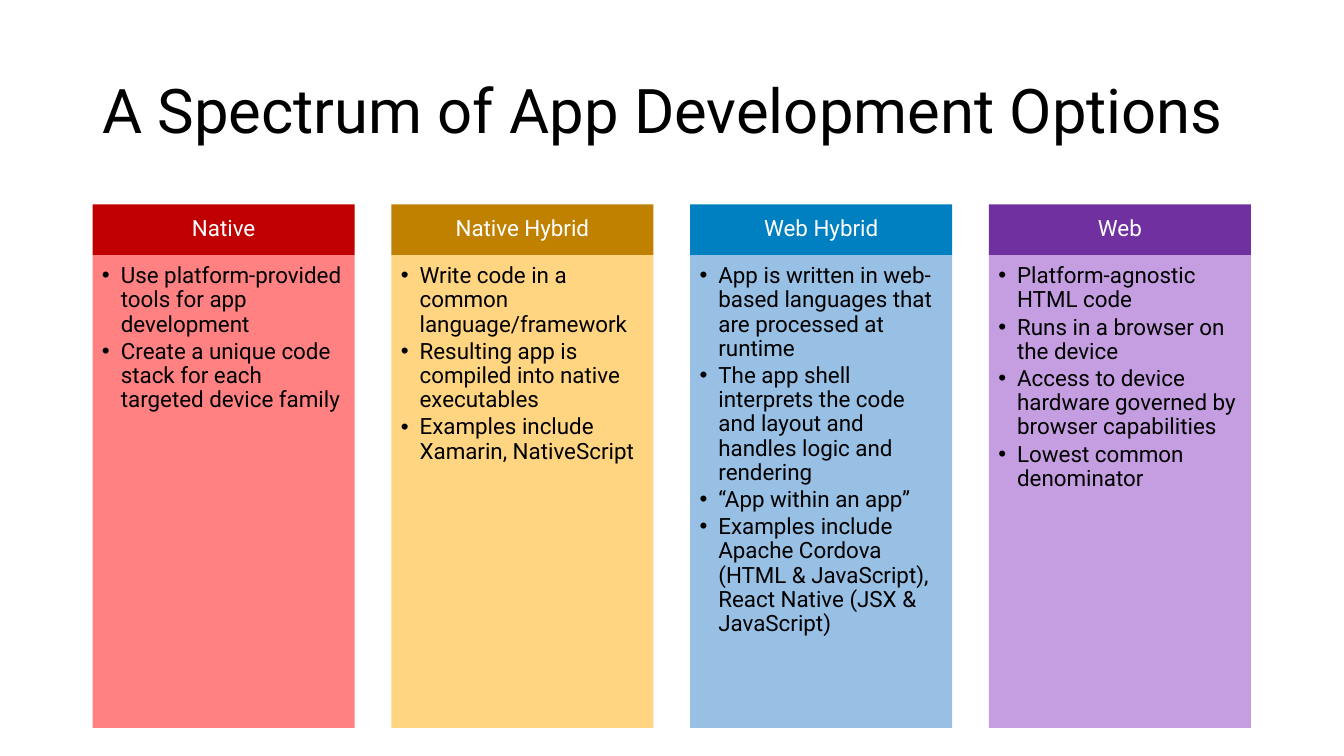
"""Build a slide comparing four app development options in coloured columns."""
from lxml import etree
from pptx import Presentation
from pptx.dml.color import RGBColor
from pptx.enum.shapes import MSO_SHAPE
from pptx.enum.text import MSO_ANCHOR, PP_ALIGN
from pptx.oxml.ns import qn
from pptx.util import Pt

RECTANGLE = MSO_SHAPE.RECTANGLE
TOP, MIDDLE = MSO_ANCHOR.TOP, MSO_ANCHOR.MIDDLE
LEFT, CENTER = PP_ALIGN.LEFT, PP_ALIGN.CENTER

COLORS = {
    "black": "000000", "white": "FFFFFF",
    "red": "C00000", "light red": "FF8181",
    "gold": "C08000", "light gold": "FFD581",
    "blue": "0080C0", "light blue": "8CBAE2",
    "purple": "7030A0", "light purple": "C59EE2",
}

COLUMNS = [
    ("Native", "red", 100, [
        "Use platform-provided tools for app development",
        "Create a unique code stack for each targeted device family",
    ]),
    ("Native Hybrid", "gold", 100, [
        "Write code in a common language/framework",
        "Resulting app is compiled into native executables",
        "Examples include Xamarin, NativeScript",
    ]),
    ("Web Hybrid", "blue", 90, [
        "App is written in web-based languages that are processed at runtime",
        "The app shell interprets the code and layout and handles logic and rendering",
        "“App within an app”",
        "Examples include Apache Cordova (HTML & JavaScript), React Native (JSX & JavaScript)",
    ]),
    ("Web", "purple", 100, [
        "Platform-agnostic HTML code",
        "Runs in a browser on the device",
        "Access to device hardware governed by browser capabilities",
        "Lowest common denominator",
    ]),
]

COLUMN_LEFT, COLUMN_PITCH, COLUMN_WIDTH = 66.2, 213.4, 187.2
HEADER_TOP, HEADER_HEIGHT, BODY_HEIGHT = 146, 36.2, 337.7


class SlideBuilder:
    """Hold the text style and the slide, and add elements to it."""

    font = "Roboto"
    line_spacing = 0.9
    bullet_indent = 13.5
    bullet_gap = 2.2

    def __init__(self, slide):
        self.slide = slide

    def color(self, name):
        return RGBColor.from_string(COLORS[name])

    def frame(self, shape, anchor, insets):
        frame = shape.text_frame
        frame.word_wrap = True
        frame.vertical_anchor = anchor
        (frame.margin_left, frame.margin_top,
         frame.margin_right, frame.margin_bottom) = map(Pt, insets)
        return frame

    def add_text(self, frame, lines, size, color, alignment, bullets=False):
        for index, line in enumerate(lines):
            paragraph = frame.add_paragraph() if index else frame.paragraphs[0]
            paragraph.alignment = alignment
            paragraph.line_spacing = self.line_spacing
            if bullets:
                self.bullet(paragraph)
            run = paragraph.add_run()
            run.text = line
            run.font.name = self.font
            run.font.size = Pt(size)
            run.font.color.rgb = self.color(color)

    def bullet(self, paragraph):
        paragraph.space_after = Pt(self.bullet_gap)
        properties = paragraph._p.get_or_add_pPr()
        properties.set("marL", str(Pt(self.bullet_indent)))
        properties.set("indent", str(-Pt(self.bullet_indent)))
        etree.SubElement(properties, qn("a:buFont"), typeface="Arial")
        etree.SubElement(properties, qn("a:buChar"), char="•")

    def rectangle(self, left, top, width, height, fill, opacity=100):
        shape = self.slide.shapes.add_shape(RECTANGLE, *map(Pt, (left, top, width, height)))
        shape.shadow.inherit = False
        shape.line.fill.background()
        shape.fill.solid()
        shape.fill.fore_color.rgb = self.color(fill)
        if opacity < 100:
            color = shape._element.spPr.find(qn("a:solidFill"))[0]
            etree.SubElement(color, qn("a:alpha"), val=str(opacity * 1000))
        return shape

    def title(self, text):
        shape = self.slide.shapes.add_textbox(Pt(66), Pt(28.75), Pt(828), Pt(104.4))
        frame = self.frame(shape, MIDDLE, (7.2, 3.6, 7.2, 3.6))
        self.add_text(frame, [text], 44, "black", LEFT)

    def column(self, left, heading, color, opacity, points):
        header = self.rectangle(left, HEADER_TOP, COLUMN_WIDTH, HEADER_HEIGHT, color)
        frame = self.frame(header, MIDDLE, (9, 5.1, 9, 5.1))
        self.add_text(frame, [heading], 16, "white", CENTER)
        body = self.rectangle(left, HEADER_TOP + HEADER_HEIGHT, COLUMN_WIDTH,
                              BODY_HEIGHT, f"light {color}", opacity)
        frame = self.frame(body, TOP, (6.7, 6.7, 9, 10.1))
        self.add_text(frame, points, 16, "black", LEFT, bullets=True)


def main():
    presentation = Presentation()
    presentation.slide_width, presentation.slide_height = Pt(960), Pt(540)
    slide = presentation.slides.add_slide(presentation.slide_layouts[6])
    builder = SlideBuilder(slide)
    builder.title("A Spectrum of App Development Options")
    for index, column in enumerate(COLUMNS):
        builder.column(COLUMN_LEFT + index * COLUMN_PITCH, *column)
    presentation.save("out.pptx")


if __name__ == "__main__":
    main()
